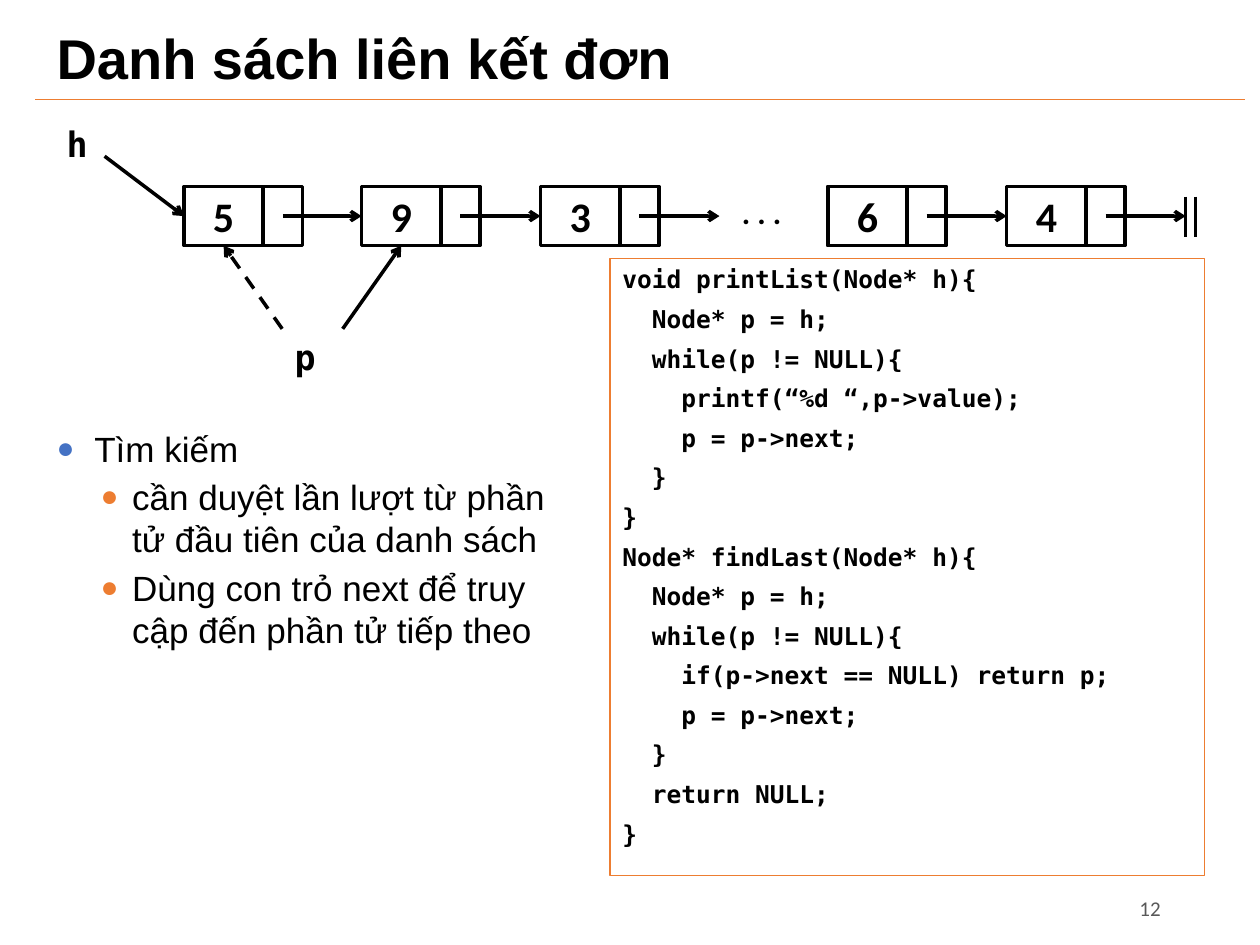
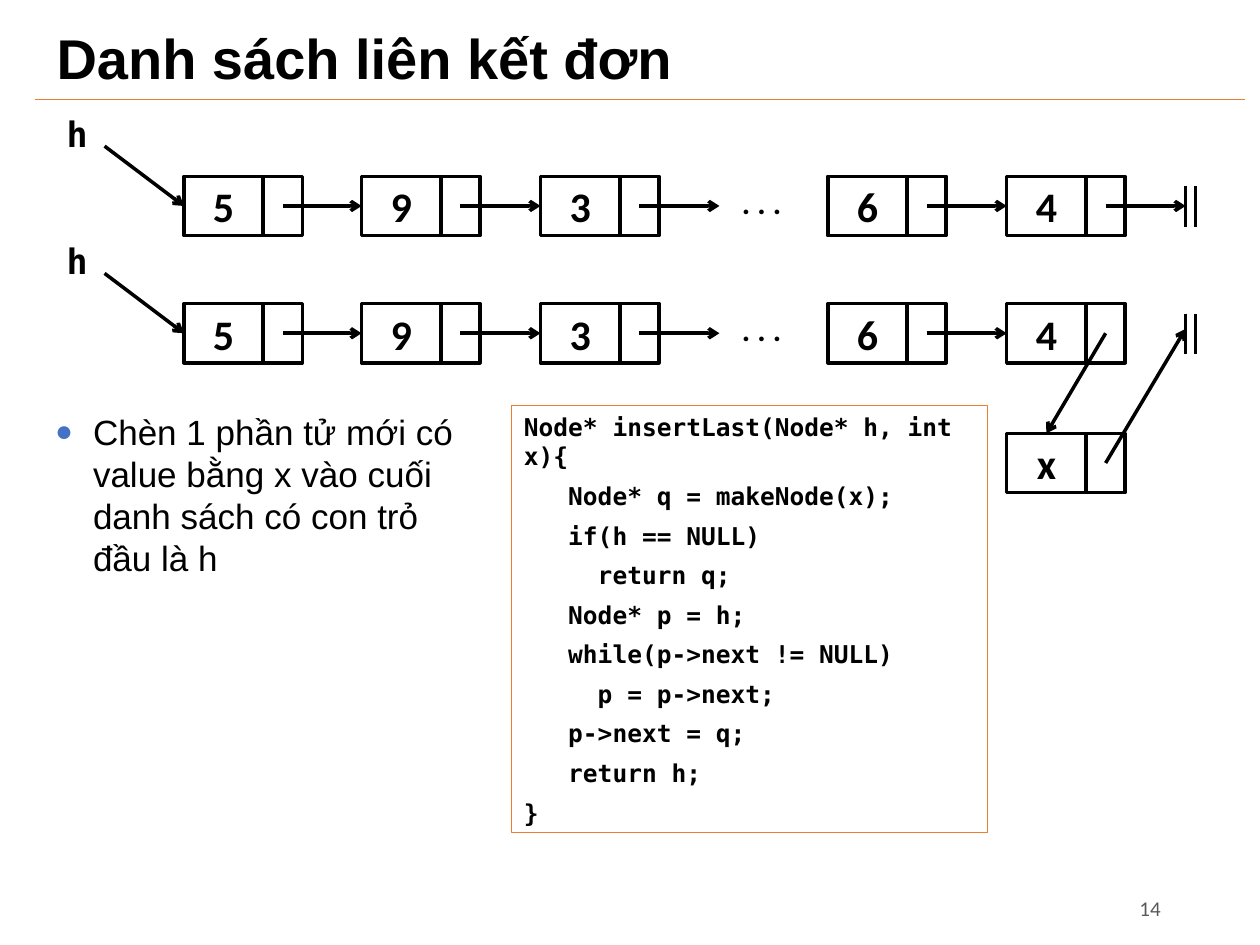
from dataclasses import dataclass

from lxml import etree
from pptx import Presentation
from pptx import util as u
from pptx.dml import color
from pptx.enum import dml, shapes, text
from pptx.oxml import ns


@dataclass(frozen=True)
class Theme:
    ink: str = "000000"
    blue: str = "4472C4"
    orange: str = "ED7D31"
    gray: str = "595959"
    sans: str = "Arial"
    label: str = "Calibri"
    mono: str = "DejaVu Sans Mono"
    title_size: int = 32
    value_size: int = 24
    body_size: int = 20
    dots_size: int = 18
    code_size: int = 14
    page_size: int = 12
    link_width: float = 2
    frame_width: float = 0.75
    rule_width: float = 0.5


VALUE_WIDTH = 0.63
POINTER_WIDTH = 0.31
NODE_HEIGHT = 0.47
NODE_PITCH = 1.42
FIRST_NODE = 1.46
NODES = (("5", FIRST_NODE), ("9", FIRST_NODE + NODE_PITCH - 0.01),
         ("3", FIRST_NODE + 2 * NODE_PITCH - 0.01), ("6", 6.57), ("4", 7.99))
NULL_LEFT = 9.41

PRINT_AND_FIND = """void printList(Node* h){
  Node* p = h;
  while(p != NULL){
    printf(“%d “,p->value);
    p = p->next;
  }
}
Node* findLast(Node* h){
  Node* p = h;
  while(p != NULL){
    if(p->next == NULL) return p;
    p = p->next;
  }
  return NULL;
}"""

INSERT_LAST = """Node* insertLast(Node* h, int x){
   Node* q = makeNode(x);
   if(h == NULL)
     return q;
   Node* p = h;
   while(p->next != NULL)
     p = p->next;
   p->next = q;
   return h;
}"""


def set_values(target, values):
    for name, value in values.items():
        setattr(target, name, value)


class ListDeck:
    def __init__(self, theme):
        self.theme = theme
        self.presentation = Presentation()
        self.presentation.slide_width = u.Inches(10)
        self.presentation.slide_height = u.Inches(7.5)
        self.slide = None

    def start_slide(self, title, page):
        theme = self.theme
        self.slide = self.presentation.slides.add_slide(self.presentation.slide_layouts[6])
        self.text_box((0.35, 0.13, 9.45, 0.71), title, theme.sans, theme.title_size, bold=True,
                      anchor=text.MSO_ANCHOR.MIDDLE, spacing={"line_spacing": 0.9})
        self.line((0.28, 0.79), (9.88, 0.79), theme.orange, theme.rule_width)
        self.text_box((8.06, 7.01, 1.25, 0.4), page, theme.label, theme.page_size, theme.gray,
                      anchor=text.MSO_ANCHOR.MIDDLE, spacing={"alignment": text.PP_ALIGN.RIGHT})

    def add_run(self, paragraph, words, font, size, ink=None, bold=False):
        run = paragraph.add_run()
        run.text = words
        set_values(run.font, {"name": font, "size": u.Pt(size), "bold": bold})
        run.font.color.rgb = color.RGBColor.from_string(ink or self.theme.ink)

    def text_box(self, box, words, font, size, ink=None, bold=False,
                 anchor=text.MSO_ANCHOR.TOP, spacing=None):
        shape = self.slide.shapes.add_textbox(*map(u.Inches, box))
        set_values(shape.text_frame, {"word_wrap": True, "vertical_anchor": anchor})
        paragraph = shape.text_frame.paragraphs[0]
        set_values(paragraph, spacing or {})
        self.add_run(paragraph, words, font, size, ink, bold)

    def rectangle(self, box, outline, width):
        shape = self.slide.shapes.add_shape(shapes.MSO_SHAPE.RECTANGLE, *map(u.Inches, box))
        shape.shadow.inherit = False
        shape.fill.background()
        shape.line.color.rgb = color.RGBColor.from_string(outline)
        shape.line.width = u.Pt(width)
        return shape

    def line(self, start, end, ink=None, width=None, arrow=False, dash=None, target=None):
        connector = self.slide.shapes.add_connector(
            shapes.MSO_CONNECTOR.STRAIGHT, *map(u.Inches, (*start, *end)))
        connector.line.color.rgb = color.RGBColor.from_string(ink or self.theme.ink)
        set_values(connector.line, {"width": u.Pt(width or self.theme.link_width),
                                    "dash_style": dash})
        properties = connector._element.spPr
        if arrow:
            etree.SubElement(properties.find(ns.qn("a:ln")), ns.qn("a:tailEnd"), type="arrow")
        etree.SubElement(properties, ns.qn("a:effectLst"))
        if target:
            connector.end_connect(*target)

    def arrow(self, start, end, target=None, dash=None):
        self.line(start, end, arrow=True, target=target, dash=dash)

    def node(self, value, left, top):
        theme = self.theme
        cell = self.rectangle((left, top, VALUE_WIDTH, NODE_HEIGHT), theme.ink, theme.link_width)
        cell.text_frame.vertical_anchor = text.MSO_ANCHOR.MIDDLE
        paragraph = cell.text_frame.paragraphs[0]
        paragraph.alignment = text.PP_ALIGN.CENTER
        self.add_run(paragraph, value, theme.label, theme.value_size, bold=True)
        self.rectangle((left + VALUE_WIDTH, top, POINTER_WIDTH, NODE_HEIGHT),
                       theme.ink, theme.link_width)
        return cell

    def pointer_start(self, left, top):
        return left + VALUE_WIDTH + POINTER_WIDTH / 2, top + NODE_HEIGHT / 2

    def linked_list(self, top, closed=True):
        theme = self.theme
        middle = top + NODE_HEIGHT / 2
        cells = [self.node(value, left, top) for value, left in NODES]
        for index, (value, left) in enumerate(NODES):
            if index == len(NODES) - 1 and not closed:
                continue
            target = (cells[index + 1], 1) if index in (0, 1, 3) else None
            self.arrow(self.pointer_start(left, top), (left + NODE_PITCH, middle), target)
        self.text_box((5.79, top, 0.94, 0.4), ". . .", theme.label, theme.dots_size, bold=True)
        self.arrow((0.83, top - 0.24), (FIRST_NODE, middle), (cells[0], 1))
        self.text_box((0.43, top - 0.56, 0.94, 0.44), "h", theme.mono, theme.body_size, bold=True)
        for left in (NULL_LEFT, NULL_LEFT + 0.08):
            self.line((left, top + 0.08), (left, top + 0.4))
        return cells

    def code(self, box, source):
        theme = self.theme
        shape = self.rectangle(box, theme.orange, theme.frame_width)
        frame = shape.text_frame
        set_values(frame, {"word_wrap": True, "vertical_anchor": text.MSO_ANCHOR.TOP})
        for index, words in enumerate(source.splitlines()):
            paragraph = frame.add_paragraph() if index else frame.paragraphs[0]
            set_values(paragraph, {"alignment": text.PP_ALIGN.LEFT,
                                   "space_before": u.Pt(5.8 if index else 0)})
            self.add_run(paragraph, words, theme.mono, theme.code_size, bold=True)

    def bullets(self, box, items):
        theme = self.theme
        levels = ((0.3, -0.3, theme.blue, 5.8), (0.6, -0.25, theme.orange, 3.7))
        frame = self.slide.shapes.add_textbox(*map(u.Inches, box)).text_frame
        frame.word_wrap = True
        for index, (level, words) in enumerate(items):
            margin, indent, ink, before = levels[level]
            paragraph = frame.add_paragraph() if index else frame.paragraphs[0]
            properties = paragraph._p.get_or_add_pPr()
            properties.set("marL", str(u.Inches(margin)))
            properties.set("indent", str(u.Inches(indent)))
            bullet_color = etree.SubElement(properties, ns.qn("a:buClr"))
            etree.SubElement(bullet_color, ns.qn("a:srgbClr"), val=ink)
            etree.SubElement(properties, ns.qn("a:buSzPct"), val="85000")
            etree.SubElement(properties, ns.qn("a:buFont"), typeface=theme.sans)
            etree.SubElement(properties, ns.qn("a:buChar"), char="●")
            set_values(paragraph, {"level": level, "space_before": u.Pt(before if index else 0)})
            self.add_run(paragraph, words, theme.sans, theme.body_size)


def traversal_slide(deck):
    deck.start_slide("Danh sách liên kết đơn", "12")
    cells = deck.linked_list(1.48)
    deck.code((4.84, 2.05, 4.72, 4.9), PRINT_AND_FIND)
    deck.text_box((2.24, 2.61, 0.47, 0.44), "p", deck.theme.mono, deck.theme.body_size, bold=True)
    deck.arrow((2.24, 2.61), (1.77, 1.95), (cells[0], 2), dml.MSO_LINE.DASH)
    deck.arrow((2.72, 2.61), (3.19, 1.95), (cells[1], 2))
    deck.bullets((0.35, 3.34, 4.29, 3), (
        (0, "Tìm kiếm"),
        (1, "cần duyệt lần lượt từ phần tử đầu tiên của danh sách"),
        (1, "Dùng con trỏ next để truy cập đến phần tử tiếp theo"),
    ))


def insertion_slide(deck):
    deck.start_slide("Danh sách liên kết đơn", "14")
    deck.linked_list(1.4)
    deck.code((4.06, 3.22, 3.78, 3.39), INSERT_LAST)
    list_top, new_top = 2.41, 3.44
    last_left = NODES[-1][1]
    deck.linked_list(list_top, closed=False)
    new_cell = deck.node("x", last_left, new_top)
    deck.arrow(deck.pointer_start(last_left, list_top), (8.31, new_top), (new_cell, 0))
    deck.arrow(deck.pointer_start(last_left, new_top), (NULL_LEFT, 2.61))
    deck.bullets((0.34, 3.21, 3.54, 3), (
        (0, "Chèn 1 phần tử mới có value bằng x vào cuối danh sách có con trỏ đầu là h"),
    ))


def main():
    deck = ListDeck(Theme())
    traversal_slide(deck)
    insertion_slide(deck)
    deck.presentation.save("out.pptx")


if __name__ == "__main__":
    main()
